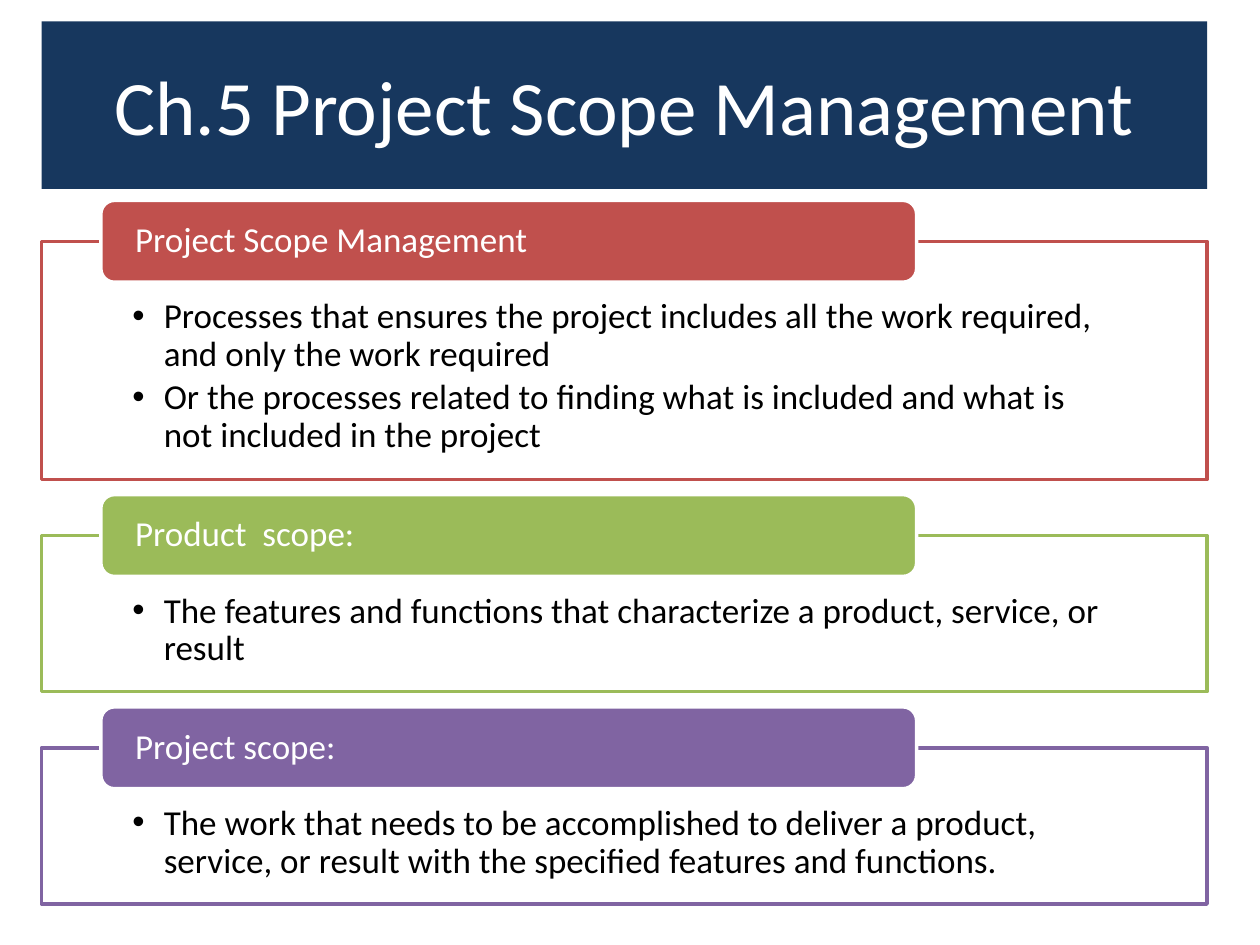
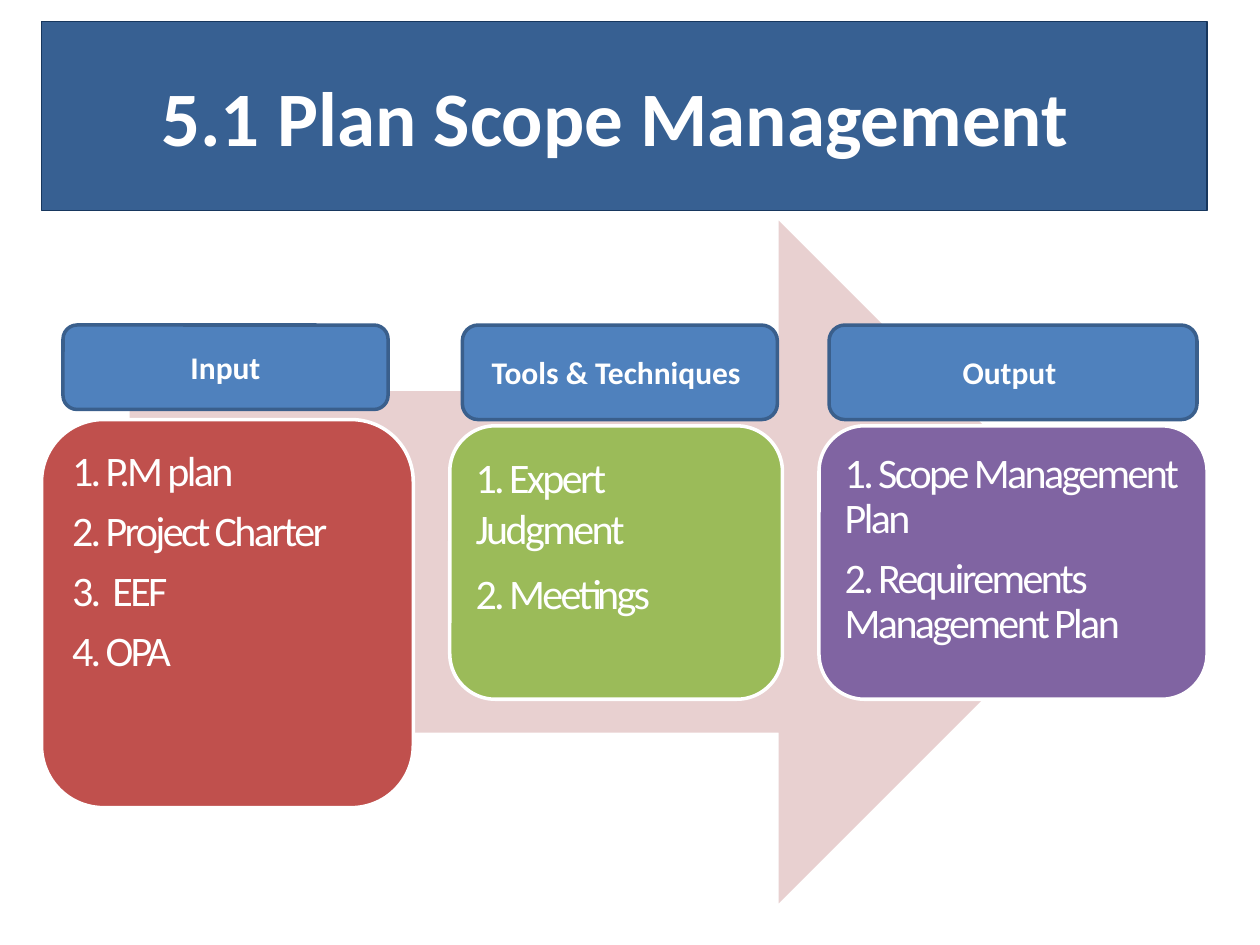
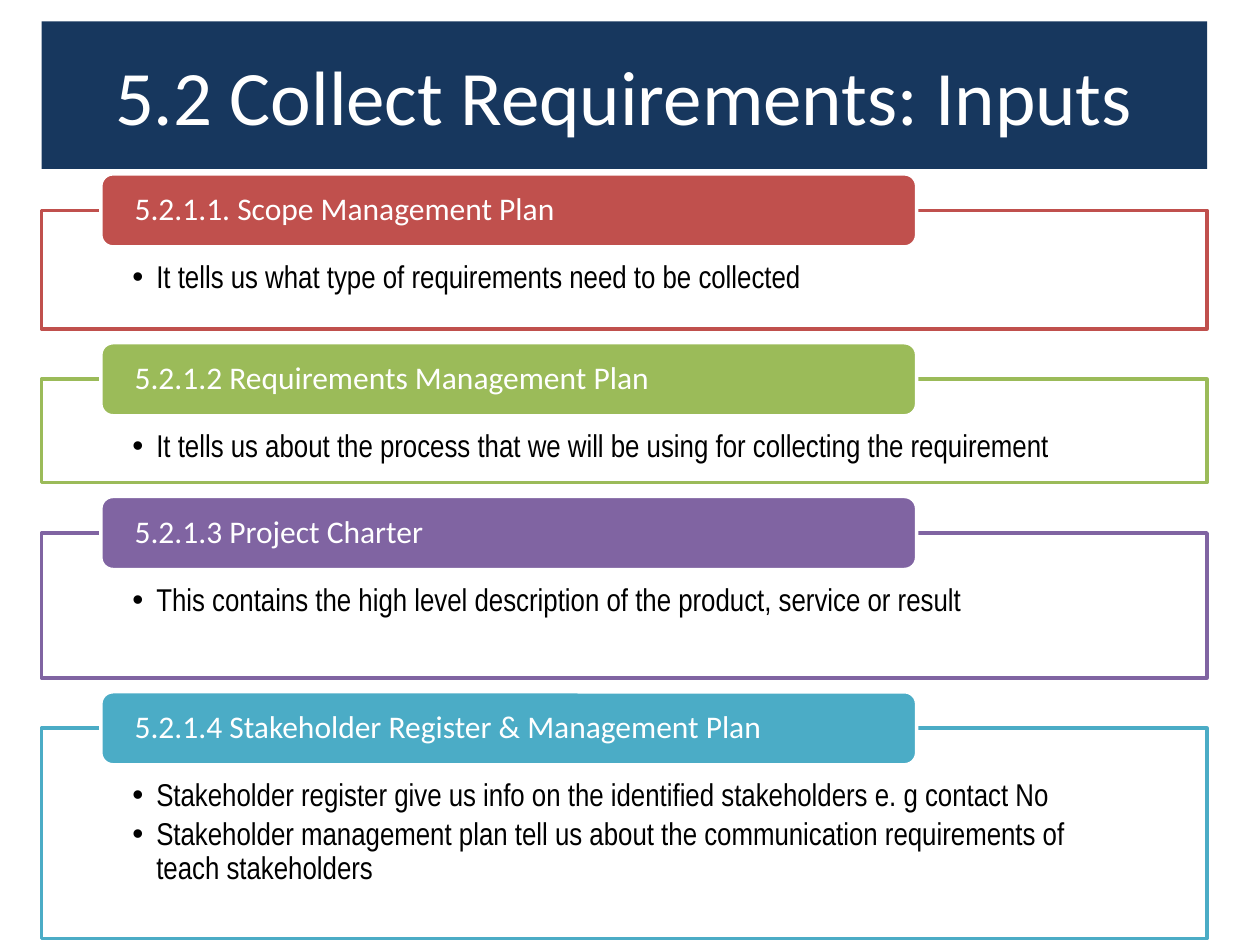
from dataclasses import dataclass

from lxml import etree
from pptx import Presentation
from pptx.dml.color import RGBColor
from pptx.enum.shapes import MSO_SHAPE
from pptx.enum.text import MSO_ANCHOR, PP_ALIGN
from pptx.oxml.ns import qn
from pptx.util import Inches, Pt

RECT = MSO_SHAPE.RECTANGLE
ROUNDED = MSO_SHAPE.ROUNDED_RECTANGLE
ARROW = MSO_SHAPE.RIGHT_ARROW
TOP, MIDDLE = MSO_ANCHOR.TOP, MSO_ANCHOR.MIDDLE
LEFT, CENTER = PP_ALIGN.LEFT, PP_ALIGN.CENTER

WHITE, BLACK = "FFFFFF", "000000"
NAVY, STEEL = "17375E", "376092"
BLUE, BLUE_EDGE, PALE_ROSE = "4F81BD", "3A5F8C", "E8D0D0"
RED, GREEN, PURPLE, TEAL = "C0504D", "9BBB59", "8064A2", "4BACC6"
ACCENTS = (RED, GREEN, PURPLE, TEAL)

MARGIN, CONTENT_WIDTH = 0.33, 9.25
BAND_TOP = 0.17


@dataclass
class SectionStyle:
    """Measures shared by the sections stacked on one slide."""
    header_height: float
    gap: float
    size: int
    body_font: str
    indent: float


def color(hex_value):
    return RGBColor.from_string(hex_value)


def add_box(slide, kind, box, fill, line=None, line_width=2):
    shape = slide.shapes.add_shape(kind, *(Inches(v) for v in box))
    shape.shadow.inherit = False
    shape.fill.solid()
    shape.fill.fore_color.rgb = color(fill)
    if line:
        shape.line.color.rgb = color(line)
        shape.line.width = Pt(line_width)
    else:
        shape.line.fill.background()
    return shape


def set_opacity(shape, percent):
    srgb = shape.fill._xPr.find(qn("a:solidFill")).find(qn("a:srgbClr"))
    etree.SubElement(srgb, qn("a:alpha")).set("val", str(percent * 1000))


def add_bullet(paragraph, indent):
    props = paragraph._p.get_or_add_pPr()
    props.set("marL", str(Inches(indent)))
    props.set("indent", str(-Inches(indent)))
    etree.SubElement(props, qn("a:buFont")).set("typeface", "Arial")
    etree.SubElement(props, qn("a:buChar")).set("char", "•")


def write(shape, lines, size, font="Calibri", ink=WHITE, bold=False, align=LEFT,
          anchor=MIDDLE, insets=(0.1, 0.05, 0.1, 0.05), line_spacing=None,
          space_after=0, bullet_indent=None, tracking=None):
    """Fill the shape with one paragraph per line; space_after is a share of size."""
    frame = shape.text_frame
    frame.word_wrap = True
    frame.vertical_anchor = anchor
    (frame.margin_left, frame.margin_top,
     frame.margin_right, frame.margin_bottom) = (Inches(v) for v in insets)
    for index, line in enumerate(lines):
        paragraph = frame.add_paragraph() if index else frame.paragraphs[0]
        paragraph.alignment = align
        if line_spacing:
            paragraph.line_spacing = line_spacing
        paragraph.space_after = Pt(size * space_after)
        if bullet_indent:
            add_bullet(paragraph, bullet_indent)
        run = paragraph.add_run()
        run.text = line
        run.font.name = font
        run.font.size = Pt(size)
        run.font.bold = bold
        run.font.color.rgb = color(ink)
        if tracking:
            run._r.get_or_add_rPr().set("spc", str(int(tracking * 100)))


def add_title_band(slide, title, height, fill=NAVY, line=None, bold=False):
    band = add_box(slide, RECT, (MARGIN, BAND_TOP, CONTENT_WIDTH, height),
                   fill, line, 0.75)
    write(band, [title], 44, bold=bold, align=CENTER)


def add_section(slide, top, frame_height, accent, heading, points, style):
    """Draw a framed list with its heading on the top edge; return its bottom."""
    frame_top = top + style.header_height / 2
    frame = add_box(slide, RECT, (MARGIN, frame_top, CONTENT_WIDTH, frame_height),
                    WHITE, accent)
    set_opacity(frame, 90)
    write(frame, points, style.size, style.body_font, BLACK, anchor=TOP,
          insets=(0.72, style.header_height * 0.7, 0.72, 0.15),
          line_spacing=0.9, space_after=0.15, bullet_indent=style.indent)
    header = add_box(slide, ROUNDED,
                     (MARGIN + 0.47, top, CONTENT_WIDTH * 0.7, style.header_height),
                     accent, WHITE)
    write(header, [heading], style.size, insets=(0.24, 0, 0.24, 0),
          line_spacing=0.9, space_after=0.35)
    return frame_top + frame_height


def build_section_slide(slide, title, band_height, top, style, sections):
    add_title_band(slide, title, band_height)
    for accent, (frame_height, heading, points) in zip(ACCENTS, sections):
        bottom = add_section(slide, top, frame_height, accent, heading, points, style)
        top = bottom + style.gap


def build_process_slide(slide, title, stages):
    add_title_band(slide, title, 1.5, STEEL, NAVY, bold=True)
    add_box(slide, ARROW, (1.03, 1.75, 7.86, 5.42), PALE_ROSE)
    # Cards
    for accent, (_, _, card_box, items, line_spacing) in zip(ACCENTS, stages):
        card = add_box(slide, ROUNDED, card_box, accent, WHITE)
        write(card, items, 24, anchor=TOP, insets=(0.1,) * 4,
              line_spacing=line_spacing, space_after=0.35, tracking=-1.5)
    # Stage labels
    for name, label_box, *_ in stages:
        label = add_box(slide, ROUNDED, label_box, BLUE, BLUE_EDGE)
        write(label, [name], 18, bold=True, align=CENTER)


SCOPE_SECTIONS = [
    (1.89, "Project Scope Management", [
        "Processes that ensures the project includes all the work required, "
        "and only the work required",
        "Or the processes related to finding what is included and what is "
        "not included in the project"]),
    (1.24, "Product  scope:", [
        "The features and functions that characterize a product, service, or result"]),
    (1.24, "Project scope:", [
        "The work that needs to be accomplished to deliver a product, service, "
        "or result with the specified features and functions."]),
]

PLAN_STAGES = [
    ("Input", (0.5, 2.58, 2.58, 0.67), (0.33, 3.33, 2.95, 3.08),
     ["1. P.M plan", "2. Project Charter", "3.  EEF", "4. OPA"], 0.9),
    ("Tools & Techniques ", (3.67, 2.58, 2.5, 0.75), (3.57, 3.38, 2.64, 2.17),
     ["1. Expert Judgment", "2. Meetings"], None),
    ("Output ", (6.58, 2.58, 2.92, 0.75), (6.5, 3.38, 3.08, 2.17),
     ["1. Scope Management Plan", "2. Requirements Management Plan"], 0.9),
]

INPUT_SECTIONS = [
    (0.94, "5.2.1.1. Scope Management Plan", [
        "It tells us what type of requirements need to be collected"]),
    (0.82, "5.2.1.2 Requirements Management Plan", [
        "It tells us about the process that we will be using for collecting "
        "the requirement"]),
    (1.15, "5.2.1.3 Project Charter", [
        "This contains the high level description of the product, service or result"]),
    (1.67, "5.2.1.4 Stakeholder Register & Management Plan", [
        "Stakeholder register give us info on the identified stakeholders "
        "e. g contact No",
        "Stakeholder management plan tell us about the communication requirements "
        "of teach stakeholders"]),
]


def main():
    deck = Presentation()
    deck.slide_width, deck.slide_height = Inches(10), Inches(7.5)
    blank = deck.slide_layouts[6]

    build_section_slide(deck.slides.add_slide(blank), "Ch.5 Project Scope Management",
                        1.33, 1.59, SectionStyle(0.65, 0.12, 20, "Calibri", 0.25),
                        SCOPE_SECTIONS)
    build_process_slide(deck.slides.add_slide(blank), "5.1 Plan Scope Management ",
                        PLAN_STAGES)
    build_section_slide(deck.slides.add_slide(blank), "5.2 Collect Requirements: Inputs",
                        1.17, 1.38, SectionStyle(0.58, 0.11, 18, "Arial Narrow", 0.19),
                        INPUT_SECTIONS)
    deck.save("out.pptx")


if __name__ == "__main__":
    main()
